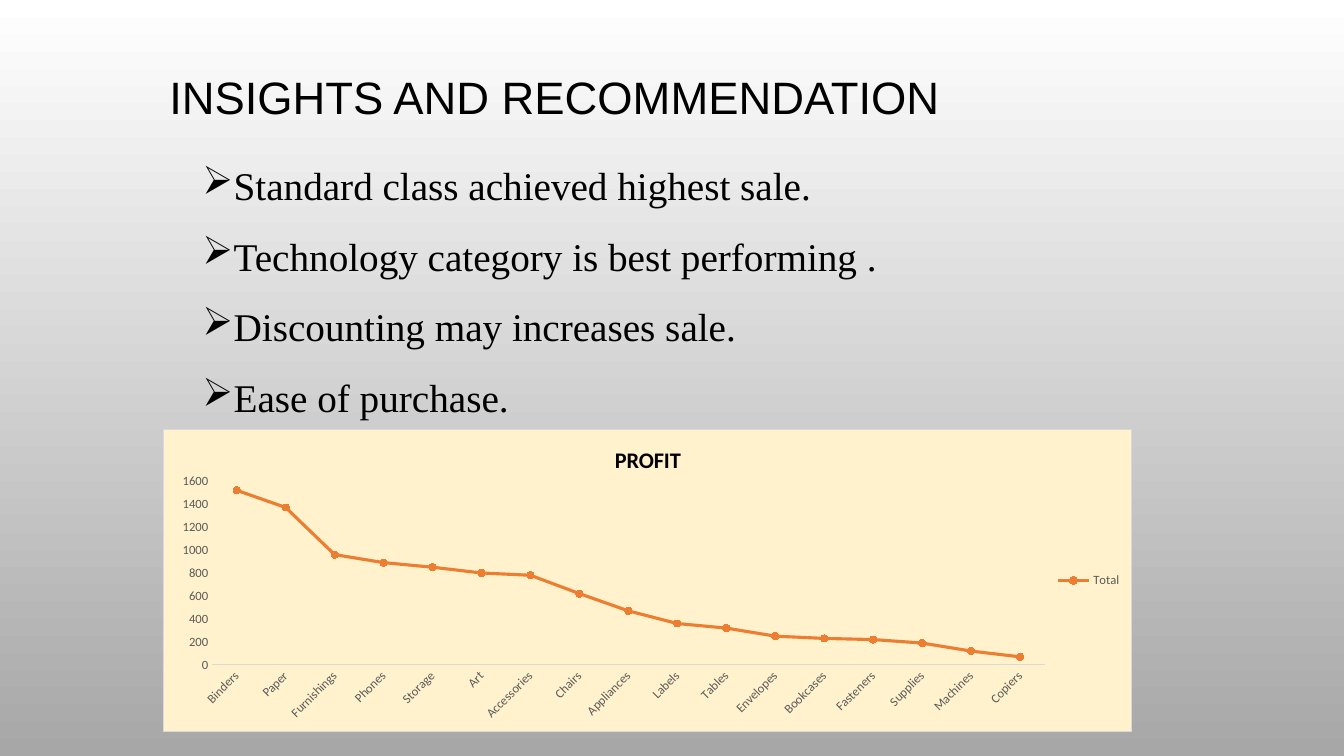
from lxml import etree
from pptx import Presentation
from pptx import util as u
from pptx.chart.data import CategoryChartData
from pptx.dml.color import RGBColor
from pptx.enum import chart as charts, text
from pptx.oxml import parse_xml
from pptx.oxml.ns import nsdecls, qn


def color(value):
    return RGBColor.from_string(value)


def write(para, words, size, font, align=None, spacing=1.0):
    para.alignment = align
    para.line_spacing = spacing
    span = para.add_run()
    span.text = words
    span.font.size = u.Pt(size)
    span.font.name = font
    span.font.color.rgb = color("000000")


deck = Presentation()
deck.slide_width, deck.slide_height = u.Inches(13.33), u.Inches(7.5)
page = deck.slides.add_slide(deck.slide_layouts[6])

# Background, light at the top
backdrop = page.background.fill
backdrop.gradient()
backdrop.gradient_angle = 270
for stop, position, shade in zip(backdrop.gradient_stops, (0, 1), ("FFFFFF", "A8A7A7")):
    stop.position = position
    stop.color.rgb = color(shade)

# Title
title = page.shapes.add_textbox(u.Inches(0.67), u.Inches(0.47), u.Inches(9.66), u.Inches(1.04))
title.text_frame.word_wrap = True
title.text_frame.vertical_anchor = text.MSO_ANCHOR.MIDDLE
write(title.text_frame.paragraphs[0], "INSIGHTS AND RECOMMENDATION", 32.4, "Arial",
      align=text.PP_ALIGN.CENTER, spacing=0.9)

# Profit chart
profits = {
    "Binders": 1520, "Paper": 1370, "Furnishings": 960, "Phones": 890,
    "Storage": 850, "Art": 800, "Accessories": 780, "Chairs": 620,
    "Appliances": 470, "Labels": 360, "Tables": 320, "Envelopes": 250,
    "Bookcases": 230, "Fasteners": 220, "Supplies": 190, "Machines": 120,
    "Copiers": 70,
}
data = CategoryChartData()
data.categories = list(profits)
data.add_series("Total", list(profits.values()))
chart = page.shapes.add_chart(
    charts.XL_CHART_TYPE.LINE_MARKERS, u.Inches(1.62), u.Inches(4.26),
    u.Inches(9.61), u.Inches(3), data).chart
chart.font.name = "Calibri"
chart.font.size = u.Pt(10)
chart.font.color.rgb = color("000000")

chart.has_title = True
heading = chart.chart_title.text_frame.paragraphs[0]
write(heading, "PROFIT", 16, "Calibri")
heading.runs[0].font.bold = True
chart.chart_title.include_in_layout = False

chart.has_legend = True
chart.legend.position = charts.XL_LEGEND_POSITION.RIGHT
chart.legend.include_in_layout = False

# Axes
months, amounts = chart.category_axis, chart.value_axis
for axis in (months, amounts):
    axis.major_tick_mark = axis.minor_tick_mark = charts.XL_TICK_MARK.NONE
    axis.has_major_gridlines = False
for part in (months.tick_labels, amounts.tick_labels, chart.legend):
    part.font.name = "Calibri"
    part.font.size = u.Pt(9)
    part.font.color.rgb = color("595959")
months.format.line.color.rgb = color("D9D9D9")
months.format.line.width = u.Pt(0.75)
months._element.find(qn("c:txPr")).find(qn("a:bodyPr")).set("rot", "-2700000")
amounts.format.line.fill.background()
amounts.minimum_scale, amounts.maximum_scale, amounts.major_unit = 0, 1600, 200

# Profit line
chart.plots[0].vary_by_categories = False
total = chart.plots[0].series[0]
total.smooth = False
total.format.line.color.rgb = color("ED7D31")
total.format.line.width = u.Pt(2.25)
total.marker.style = charts.XL_MARKER_STYLE.CIRCLE
total.marker.size = 5
total.marker.format.fill.solid()
total.marker.format.fill.fore_color.rgb = color("ED7D31")
total.marker.format.line.color.rgb = color("ED7D31")

# Plot position and chart panel
plot_area = chart._chartSpace.chart.plotArea
for old in plot_area.findall(qn("c:layout")):
    plot_area.remove(old)
layout = parse_xml(f'<c:layout {nsdecls("c")}><c:manualLayout/></c:layout>')
settings = {"layoutTarget": "inner", "xMode": "edge", "yMode": "edge",
            "x": 0.05, "y": 0.17, "w": 0.86, "h": 0.61}
for name, value in settings.items():
    etree.SubElement(layout[0], qn(f"c:{name}")).set("val", str(value))
plot_area.insert(0, layout)
panel = parse_xml(
    f'<c:spPr {nsdecls("c", "a")}><a:solidFill><a:srgbClr val="FFF2CC"/></a:solidFill>'
    '<a:ln w="9525"><a:solidFill><a:srgbClr val="D9D9D9"/></a:solidFill></a:ln></c:spPr>')
chart._chartSpace.chart.addnext(panel)

# Insights
insights = [
    "Standard class achieved highest sale.",
    "Technology category is best performing .",
    "Discounting may increases sale.",
    "Ease of purchase.",
]
box = page.shapes.add_textbox(u.Inches(1.91), u.Inches(1.32), u.Inches(9), u.Inches(2.84))
box.text_frame.word_wrap = True
box.text_frame.auto_size = text.MSO_AUTO_SIZE.SHAPE_TO_FIT_TEXT
for index, insight in enumerate(insights):
    para = box.text_frame.paragraphs[0] if index == 0 else box.text_frame.add_paragraph()
    write(para, insight, 28, "Times New Roman", spacing=1.5)
    properties = para._p.get_or_add_pPr()
    properties.set("marL", str(u.Inches(0.31)))
    properties.set("indent", str(u.Inches(-0.31)))
    etree.SubElement(properties, qn("a:buChar")).set("char", "➢")

deck.save("out.pptx")
